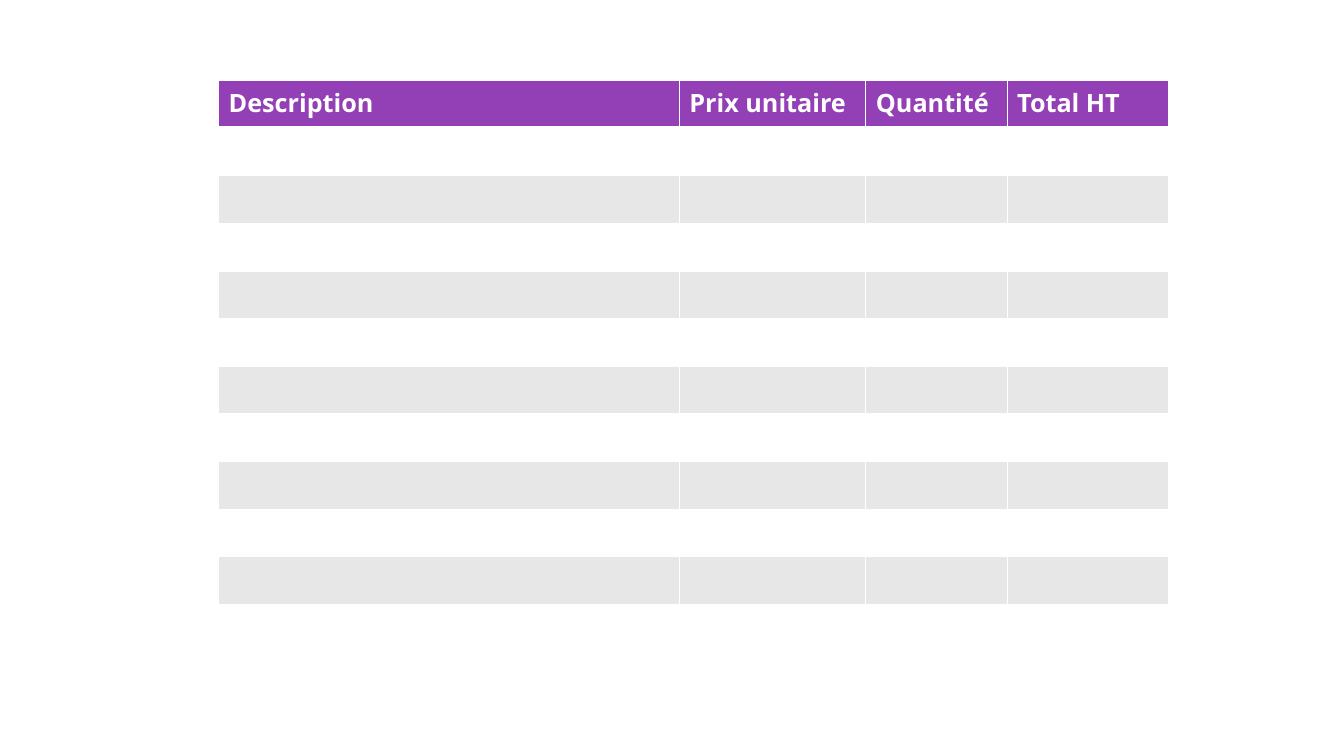
"""Build a slide with a blank price table for a quotation."""
from dataclasses import dataclass

from lxml import etree
from pptx import Presentation
from pptx import util as u
from pptx.dml.color import RGBColor
from pptx.oxml.ns import qn
from pptx.table import _Cell

EMU_PER_PX = 3600
SLIDE_WIDTH, SLIDE_HEIGHT = 3387, 1905
TABLE_LEFT, TABLE_TOP = 551, 203
ROW_HEIGHT = 120
ITEM_ROWS = 10


@dataclass(frozen=True)
class Theme:
    font: str = "Open Sans"
    size: int = 18
    header: str = "933FB6"
    white: str = "FFFFFF"
    band: str = "E7E7E7"
    thin_border: int = 1
    thick_border: int = 3


@dataclass(frozen=True)
class Column:
    title: str
    width: int


THEME = Theme()
COLUMNS = (
    Column("Description", 1161),
    Column("Prix unitaire", 470),
    Column("Quantité", 356),
    Column("Total HT", 406),
)


def px(length: int) -> u.Emu:
    return u.Emu(length * EMU_PER_PX)


def add_border(cell: _Cell, side: str, points: int) -> None:
    properties = cell._tc.get_or_add_tcPr()
    line = etree.SubElement(properties, qn(f"a:ln{side}"), w=str(u.Pt(points)))
    fill = etree.SubElement(line, qn("a:solidFill"))
    etree.SubElement(fill, qn("a:srgbClr"), val=THEME.white)


def style_cell(cell: _Cell, row: int) -> None:
    top = THEME.thick_border if row == 1 else THEME.thin_border
    bottom = THEME.thick_border if row == 0 else THEME.thin_border
    borders = {"L": THEME.thin_border, "R": THEME.thin_border, "T": top, "B": bottom}
    for side, points in borders.items():
        add_border(cell, side, points)
    color = THEME.header if row == 0 else THEME.white if row % 2 else THEME.band
    cell.fill.solid()
    cell.fill.fore_color.rgb = RGBColor.from_string(color)


def add_title(cell: _Cell, title: str) -> None:
    run = cell.text_frame.paragraphs[0].add_run()
    run.text = title
    run.font.name = THEME.font
    run.font.size = u.Pt(THEME.size)
    run.font.bold = True
    run.font.color.rgb = RGBColor.from_string(THEME.white)


def main() -> None:
    presentation = Presentation()
    presentation.slide_width = px(SLIDE_WIDTH)
    presentation.slide_height = px(SLIDE_HEIGHT)
    slide = presentation.slides.add_slide(presentation.slide_layouts[6])

    row_count = ITEM_ROWS + 1
    table = slide.shapes.add_table(
        row_count, len(COLUMNS), px(TABLE_LEFT), px(TABLE_TOP),
        px(sum(column.width for column in COLUMNS)), px(row_count * ROW_HEIGHT),
    ).table
    for row in table.rows:
        row.height = px(ROW_HEIGHT)
    for index, column in enumerate(COLUMNS):
        table.columns[index].width = px(column.width)
        add_title(table.cell(0, index), column.title)
        for row_index in range(row_count):
            style_cell(table.cell(row_index, index), row_index)

    presentation.save("out.pptx")


if __name__ == "__main__":
    main()
